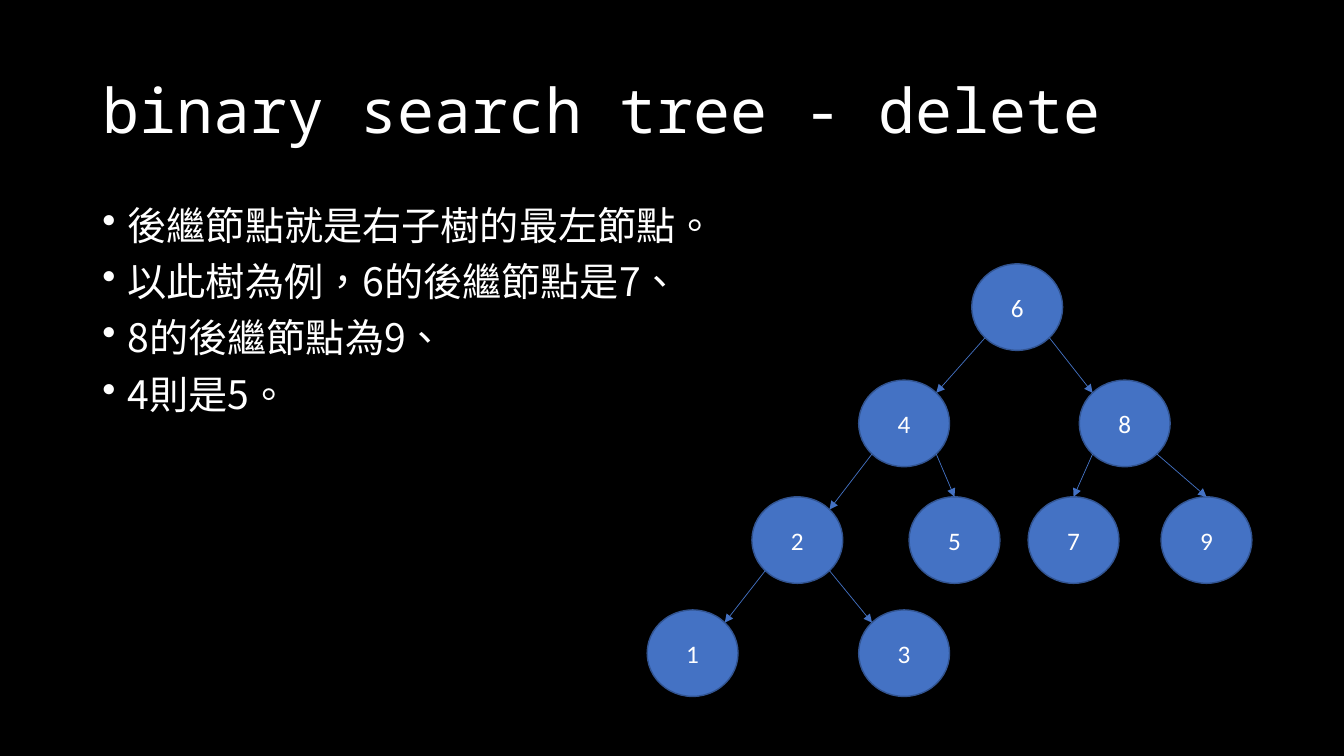
"""Builds the slide on finding successors when deleting from a binary search tree."""
import math

import lxml.etree
import pptx
import pptx.dml.color
import pptx.enum.lang
import pptx.enum.shapes
import pptx.enum.text
import pptx.oxml.ns
import pptx.util

Cm = pptx.util.Cm
Pt = pptx.util.Pt
RGBColor = pptx.dml.color.RGBColor
qn = pptx.oxml.ns.qn

BLACK = RGBColor(0x00, 0x00, 0x00)
WHITE = RGBColor(0xFF, 0xFF, 0xFF)
BLUE = RGBColor(0x44, 0x72, 0xC4)
DARK_BLUE = RGBColor(0x32, 0x54, 0x91)

NODE_WIDTH, NODE_HEIGHT = 2.29, 2.18
LEVEL_TOPS = (6.65, 9.58, 12.52, 15.37)
NODES = {
    "6": (24.49, 0),
    "4": (21.64, 1), "8": (27.2, 1),
    "2": (18.95, 2), "5": (22.91, 2), "7": (25.91, 2), "9": (29.26, 2),
    "1": (16.31, 3), "3": (21.64, 3),
}
TOP, TOP_LEFT, BOTTOM_LEFT, BOTTOM_RIGHT, TOP_RIGHT = 0, 1, 3, 5, 7
EDGES = (
    ("6", BOTTOM_LEFT, "4", TOP_RIGHT),
    ("6", BOTTOM_RIGHT, "8", TOP_LEFT),
    ("4", BOTTOM_LEFT, "2", TOP_RIGHT),
    ("4", BOTTOM_RIGHT, "5", TOP),
    ("8", BOTTOM_LEFT, "7", TOP),
    ("8", BOTTOM_RIGHT, "9", TOP),
    ("2", BOTTOM_LEFT, "1", TOP_RIGHT),
    ("2", BOTTOM_RIGHT, "3", TOP_LEFT),
)
SUCCESSOR_NOTES = (
    "後繼節點就是右子樹的最左節點。",
    "以此樹為例，6的後繼節點是7、",
    "8的後繼節點為9、",
    "4則是5。",
)


def add_run(paragraph, text, font_name, size):
    """Add one white run and return it."""
    run = paragraph.add_run()
    run.text = text
    run.font.name = font_name
    run.font.size = Pt(size)
    run.font.color.rgb = WHITE
    return run


def add_text_frame(slide, top, height):
    """Add a wrapping text box across the slide and return its frame."""
    frame = slide.shapes.add_textbox(Cm(2.33), Cm(top), Cm(29.21), Cm(height)).text_frame
    frame.word_wrap = True
    return frame


def add_title(slide, text):
    """Add the slide title."""
    frame = add_text_frame(slide, 1.01, 3.68)
    frame.vertical_anchor = pptx.enum.text.MSO_ANCHOR.MIDDLE
    heading = frame.paragraphs[0]
    heading.line_spacing = 0.9
    add_run(heading, text, "Noto Sans Mono", 44)


def add_bullets(slide, notes):
    """Add the bulleted Chinese notes."""
    frame = add_text_frame(slide, 5.07, 12.09)
    for index, note in enumerate(notes):
        bullet = frame.add_paragraph() if index else frame.paragraphs[0]
        bullet.line_spacing = 0.9
        bullet.space_before = Pt(10)
        properties = bullet._p.get_or_add_pPr()
        properties.set("marL", str(Cm(0.64)))
        properties.set("indent", str(-Cm(0.64)))
        lxml.etree.SubElement(properties, qn("a:buChar"), char="•")
        run = add_run(bullet, note, "Noto Sans CJK SC", 28)
        run.font.language_id = pptx.enum.lang.MSO_LANGUAGE_ID.TRADITIONAL_CHINESE
        lxml.etree.SubElement(run._r.get_or_add_rPr(), qn("a:ea"), typeface="Noto Sans CJK SC")


def add_node(slide, key, left, level):
    """Add a tree node labelled with its key and return it."""
    node = slide.shapes.add_shape(
        pptx.enum.shapes.MSO_SHAPE.OVAL,
        Cm(left), Cm(LEVEL_TOPS[level]), Cm(NODE_WIDTH), Cm(NODE_HEIGHT))
    node.shadow.inherit = False
    node.fill.solid()
    node.fill.fore_color.rgb = BLUE
    node.line.color.rgb = DARK_BLUE
    node.line.width = Pt(1)
    node.text_frame.vertical_anchor = pptx.enum.text.MSO_ANCHOR.MIDDLE
    label = node.text_frame.paragraphs[0]
    label.alignment = pptx.enum.text.PP_ALIGN.CENTER
    add_run(label, key, "Calibri", 18)
    return node


def rim_point(node, site):
    """Return the point of a node's connection site, counted anticlockwise from the top."""
    angle = math.radians(45 * site)
    x = node.left + node.width / 2 * (1 - math.sin(angle))
    y = node.top + node.height / 2 * (1 - math.cos(angle))
    return round(x), round(y)


def add_edge(slide, parent, parent_site, child, child_site):
    """Add an arrow glued to a parent and its child."""
    edge = slide.shapes.add_connector(
        pptx.enum.shapes.MSO_CONNECTOR.STRAIGHT,
        *rim_point(parent, parent_site), *rim_point(child, child_site))
    edge.line.color.rgb = BLUE
    edge.line.width = Pt(0.5)
    lxml.etree.SubElement(edge.line._get_or_add_ln(), qn("a:tailEnd"), type="triangle")
    lxml.etree.SubElement(edge._element.spPr, qn("a:effectLst"))
    glue = edge._element.find(".//" + qn("p:cNvCxnSpPr"))
    for tag, node, site in (("a:stCxn", parent, parent_site), ("a:endCxn", child, child_site)):
        lxml.etree.SubElement(glue, qn(tag), id=str(node.shape_id), idx=str(site))


def main():
    """Build and save the slide."""
    deck = pptx.Presentation()
    deck.slide_width, deck.slide_height = Cm(33.87), Cm(19.05)
    slide = deck.slides.add_slide(deck.slide_layouts[6])
    slide.background.fill.solid()
    slide.background.fill.fore_color.rgb = BLACK
    add_title(slide, "binary search tree - delete")
    add_bullets(slide, SUCCESSOR_NOTES)
    nodes = {key: add_node(slide, key, *place) for key, place in NODES.items()}
    for parent, parent_site, child, child_site in EDGES:
        add_edge(slide, nodes[parent], parent_site, nodes[child], child_site)
    deck.save("out.pptx")


main()
